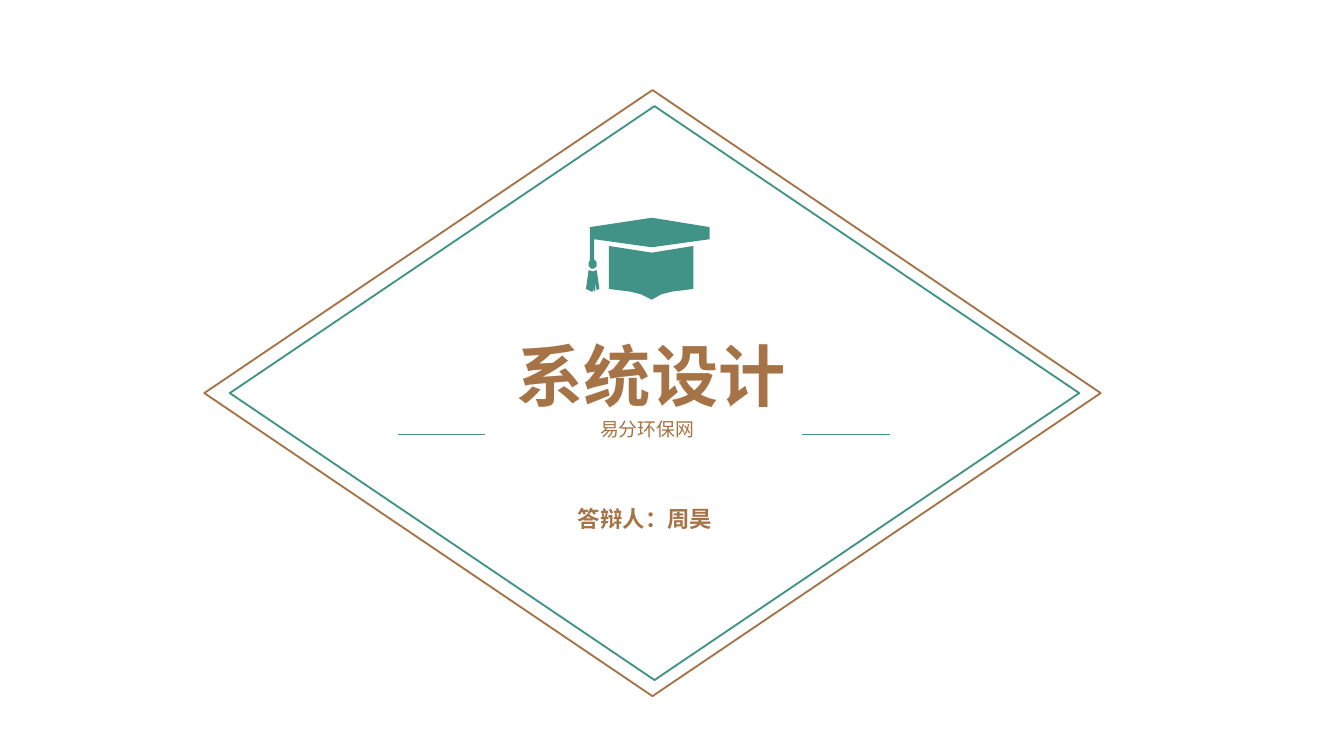
from lxml import etree
from pptx import Presentation
from pptx.dml.color import RGBColor
from pptx.enum.shapes import MSO_CONNECTOR, MSO_SHAPE
from pptx.enum.text import MSO_ANCHOR, MSO_AUTO_SIZE, PP_ALIGN
from pptx.oxml.ns import qn
from pptx.util import Inches, Pt

BROWN = RGBColor(0xA6, 0x73, 0x46)
TEAL = RGBColor(0x41, 0x92, 0x87)
WHITE = RGBColor(0xFF, 0xFF, 0xFF)
FONT = "Noto Sans CJK SC"


def put_text(holder, text, box, size, bold):
    """Place a text holder and fill it with one centred brown line."""
    holder.left, holder.top, holder.width, holder.height = map(Inches, box)
    frame = holder.text_frame
    frame.text = text
    frame.word_wrap = True
    frame.auto_size = MSO_AUTO_SIZE.NONE
    frame.vertical_anchor = MSO_ANCHOR.MIDDLE
    frame.margin_left = frame.margin_right = frame.margin_top = frame.margin_bottom = 0
    line = frame.paragraphs[0]
    line.alignment = PP_ALIGN.CENTER
    line.space_before = Pt(0)
    line.font.name = FONT
    line.font.size = Pt(size)
    line.font.bold = bold
    line.font.color.rgb = BROWN
    defaults = line._p.pPr.find(qn("a:defRPr"))
    etree.SubElement(defaults, qn("a:ea")).set("typeface", FONT)


prs = Presentation()
prs.slide_width = Inches(10)
prs.slide_height = Inches(10 * 9 / 16)
slide = prs.slides.add_slide(prs.slide_layouts[0])
shapes = slide.shapes
title, subtitle = slide.placeholders

# Nested diamond frame, behind the text
frames = [((1.52, 0.67, 6.67, 4.51), BROWN), ((1.71, 0.79, 6.32, 4.27), TEAL)]
for box, color in frames:
    diamond = shapes.add_shape(MSO_SHAPE.DIAMOND, *map(Inches, box))
    diamond.shadow.inherit = False
    diamond.fill.solid()
    diamond.fill.fore_color.rgb = WHITE
    diamond.line.color.rgb = color
    diamond.line.width = Pt(1)
    title._element.addprevious(diamond._element)

put_text(title, "系统设计", (2.43, 2.43, 4.83, 0.71), 36, True)
put_text(subtitle, "易分环保网", (3.43, 3.06, 2.77, 0.27), 10.1, False)
presenter = shapes.add_textbox(0, 0, 0, 0)
put_text(presenter, "答辩人：周昊", (3.99, 3.71, 1.62, 0.3), 12, True)

# Rules on both sides of the subtitle
for left in (2.96, 5.97):
    rule = shapes.add_connector(
        MSO_CONNECTOR.STRAIGHT, Inches(left), Inches(3.23), Inches(left + 0.65), Inches(3.23))
    rule.line.color.rgb = TEAL
    rule.line.width = Pt(0.5)
    etree.SubElement(rule._element.spPr, qn("a:effectLst"))

# Graduation cap: board with cord and knot, tassel, crown
board = [(5.28, 1.69), (4.85, 1.62), (4.39, 1.69), (4.39, 1.94), (4.38, 1.95), (4.38, 1.98),
         (4.39, 1.99), (4.4, 2), (4.42, 2), (4.43, 1.99), (4.44, 1.98), (4.44, 1.95),
         (4.43, 1.94), (4.42, 1.93), (4.42, 1.78), (4.85, 1.84), (5.28, 1.78)]
tassel = [(4.44, 2.01), (4.41, 2.02), (4.38, 2.01), (4.36, 2.15), (4.38, 2.16), (4.38, 2.14),
          (4.38, 2.16), (4.4, 2.17), (4.41, 2.17), (4.42, 2.15), (4.42, 2.17), (4.43, 2.16),
          (4.43, 2.1), (4.44, 2.16), (4.46, 2.15)]
crown = [(4.53, 2.15), (4.53, 1.83), (4.85, 1.88), (5.16, 1.83), (5.16, 2.15), (5.08, 2.16),
         (5, 2.17), (4.92, 2.19), (4.85, 2.23), (4.77, 2.19), (4.69, 2.17), (4.61, 2.16)]
builder = shapes.build_freeform(*map(Inches, board[0]))
for outline in (board, tassel, crown):
    points = [(Inches(x), Inches(y)) for x, y in outline]
    if outline is not board:
        builder.move_to(*points[0])
    builder.add_line_segments(points[1:], close=True)
cap = builder.convert_to_shape()
cap.shadow.inherit = False
cap.fill.solid()
cap.fill.fore_color.rgb = TEAL
cap.line.fill.background()

prs.save("out.pptx")
